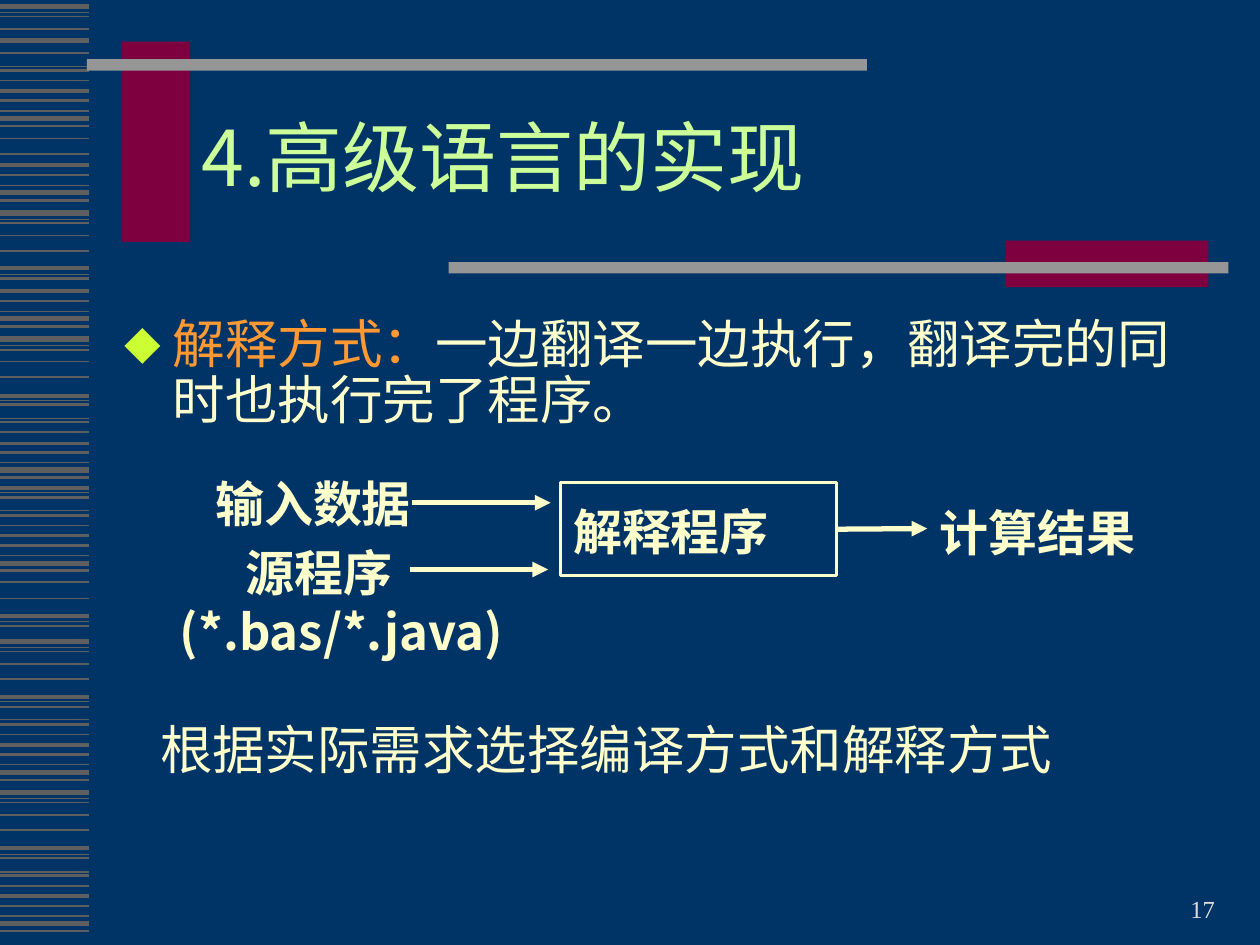
"""Build the slide on how interpreted high-level languages run."""
from typing import NamedTuple

from lxml.etree import SubElement
from pptx import Presentation
from pptx.dml.color import RGBColor
from pptx.enum.shapes import MSO_CONNECTOR as CONN, MSO_SHAPE as SHAPE
from pptx.enum.text import MSO_ANCHOR as ANCHOR, MSO_AUTO_SIZE as FIT, PP_ALIGN as ALIGN
from pptx.oxml.ns import qn
from pptx.util import Inches, Pt

COLORS = {
    "navy": "003366", "stripe": "5F5F5F", "wine": "7E003F", "grey": "969696",
    "cream": "FFFFCC", "title": "CCFF99", "orange": "FF9933", "bullet": "CCFF33",
    "number": "DDDDDD",
}
FONT = "Noto Sans CJK SC"
STRIPE_END = 0.71
STRIPES = {
    0.75: (0.1, 0.53, 0.88, 1.47, 1.74, 2.18, 2.47, 2.74, 3.18, 3.32, 3.67, 3.91, 4.05,
           4.41, 4.93, 5.14, 5.57, 5.71, 6.07, 6.34, 6.78, 6.92, 7.27),
    1: (0.13, 0.23, 0.64, 1.1, 1.22, 1.77, 1.87, 1.99, 2.78, 2.87, 2.99, 3.43, 4.17,
        4.62, 4.75, 5.17, 5.27, 5.39, 5.83, 6.37, 6.47, 6.59, 7.03),
    1.5: (0.42, 0.56, 0.8, 1, 1.39, 1.59, 2.21, 2.39, 2.59, 3.21, 3.35, 3.59, 3.79,
          3.95, 4.09, 4.33, 4.53, 4.97, 5.61, 5.75, 5.99, 6.19, 6.81, 6.95, 7.19, 7.39),
    2.25: (0.72, 1.31, 2.13, 2.31, 3.14, 3.52, 3.87, 4.25, 4.89, 5.53, 5.91, 6.73, 7.11),
    3: (0.05, 0.32, 0.94, 1.53, 1.69, 2.53, 2.69, 3.73, 4.47, 5.09, 6.13, 6.29, 7.33),
}


class Box(NamedTuple):
    left: float
    top: float
    width: float
    height: float

    def emu(self) -> list:
        return [Inches(v) for v in self]


class Bar(NamedTuple):
    box: Box
    color: str


class Label(NamedTuple):
    text: str
    box: Box


class Arrow(NamedTuple):
    left: float
    right: float
    y: float


BARS = (
    Bar(Box(0.97, 0.33, 0.54, 1.59), "wine"),
    Bar(Box(0.69, 0.47, 6.19, 0.09), "grey"),
    Bar(Box(7.98, 1.91, 1.61, 0.37), "wine"),
    Bar(Box(3.56, 2.08, 6.19, 0.09), "grey"),
)
INPUTS = (
    Label("源程序", Box(1.85, 4.22, 1.36, 0.57)),
    Label("输入数据", Box(1.61, 3.68, 1.77, 0.57)),
    Label("(*.bas/*.java)", Box(1.33, 4.69, 3.36, 0.57)),
)
INTERPRETER = Label("解释程序", Box(4.45, 3.83, 2.19, 0.74))
RESULT = Label("计算结果", Box(7.36, 3.91, 1.75, 0.57))
INPUT_ARROWS = (Arrow(3.27, 4.37, 3.99), Arrow(3.25, 4.35, 4.52))


def rgb(name: str) -> RGBColor:
    return RGBColor.from_string(COLORS[name])


def write(p, text: str, *, size: float, color: str = "cream", font: str = FONT,
          bold: bool = False, align=ALIGN.LEFT, spacing=None) -> None:
    p.alignment = align
    p.line_spacing = spacing
    r = p.add_run()
    r.text = text
    r.font.size, r.font.bold, r.font.name = Pt(size), bold, font
    r.font.color.rgb = rgb(color)
    SubElement(r.font._element, qn("a:ea"), typeface=font)


def set_bullet(p, char: str = "", left: float = 0, hanging: float = 0) -> None:
    pPr = p._p.get_or_add_pPr()
    pPr.set("marL", str(Inches(left)))
    pPr.set("indent", str(-Inches(hanging)))
    if char:
        clr = SubElement(pPr, qn("a:buClr"))
        SubElement(clr, qn("a:srgbClr"), val=COLORS["bullet"])
        SubElement(pPr, qn("a:buChar"), char=char)
    else:
        SubElement(pPr, qn("a:buNone"))


def add_rect(slide, box: Box, fill: str, outline: str = ""):
    sp = slide.shapes.add_shape(SHAPE.RECTANGLE, *box.emu())
    sp.shadow.inherit = False
    sp.fill.solid()
    sp.fill.fore_color.rgb = rgb(fill)
    if outline:
        sp.line.color.rgb, sp.line.width = rgb(outline), Pt(2)
    else:
        sp.line.fill.background()
    return sp


def add_line(slide, x1: float, x2: float, y: float, color: str, width: float,
             arrow: bool = False):
    c = slide.shapes.add_connector(CONN.STRAIGHT, *Box(x1, y, x2, y).emu())
    c.line.color.rgb, c.line.width = rgb(color), Pt(width)
    if arrow:
        SubElement(c.line._get_or_add_ln(), qn("a:tailEnd"), type="triangle")
    SubElement(c._element.spPr, qn("a:effectLst"))
    return c


def label_shape(sp, text: str) -> None:
    tf = sp.text_frame
    tf.word_wrap, tf.margin_right = True, 0
    write(tf.paragraphs[0], text, size=28, bold=True, spacing=Pt(36))


def add_label(slide, label: Label):
    sp = slide.shapes.add_textbox(*label.box.emu())
    label_shape(sp, label.text)
    return sp


def place(sp, box: Box, anchor):
    sp.left, sp.top, sp.width, sp.height = box.emu()
    tf = sp.text_frame
    tf.word_wrap, tf.auto_size, tf.vertical_anchor = True, FIT.NONE, anchor
    return tf


def add_decoration(slide) -> None:
    for width, ys in STRIPES.items():
        for y in ys:
            add_line(slide, 0, STRIPE_END, y, "stripe", width)
    for bar in BARS:
        add_rect(slide, bar.box, bar.color)
    box = Box(7.34, 6.88, 2.4, 0.5)
    tf = place(slide.shapes.add_textbox(*box.emu()), box, ANCHOR.BOTTOM)
    write(tf.paragraphs[0], "17", size=14, color="number", font="Times New Roman",
          align=ALIGN.RIGHT)


def fill_placeholders(slide) -> None:
    tf = place(slide.shapes.title, Box(1.5, 0.67, 8.07, 1.25), ANCHOR.MIDDLE)
    write(tf.paragraphs[0], "4.高级语言的实现", size=44, color="title", spacing=0.85)

    tf = place(slide.placeholders[1], Box(0.89, 2.42, 8.7, 4.24), ANCHOR.TOP)
    tf.margin_top = Inches(0.1)
    p = tf.paragraphs[0]
    set_bullet(p, "⬥", left=0.38, hanging=0.38)
    p.space_before = Pt(0)
    write(p, "解释方式：", size=30, color="orange", spacing=Pt(32))
    write(p, "一边翻译一边执行，翻译完的同时也执行完了程序。", size=30, spacing=Pt(32))
    p = tf.add_paragraph()
    set_bullet(p, left=0.28)
    p.space_before = Pt(168)
    write(p, "根据实际需求选择编译方式和解释方式", size=30, spacing=Pt(32))


def add_flow(slide) -> None:
    interpreter = add_rect(slide, INTERPRETER.box, "navy", outline="cream")
    interpreter.text_frame.vertical_anchor = ANCHOR.MIDDLE
    label_shape(interpreter, INTERPRETER.text)
    for label in INPUTS:
        add_label(slide, label)
    result = add_label(slide, RESULT)
    c = add_line(slide, 6.64, 7.36, 4.2, "cream", 3, arrow=True)
    c.begin_connect(interpreter, 3)
    c.end_connect(result, 1)
    for a in INPUT_ARROWS:
        add_line(slide, a.left, a.right, a.y, "cream", 3, arrow=True)


def main() -> None:
    prs = Presentation()
    prs.slide_width, prs.slide_height = Inches(10), Inches(7.5)
    slide = prs.slides.add_slide(prs.slide_layouts[1])
    slide.background.fill.solid()
    slide.background.fill.fore_color.rgb = rgb("navy")
    add_decoration(slide)
    fill_placeholders(slide)
    add_flow(slide)
    prs.save("out.pptx")


if __name__ == "__main__":
    main()
